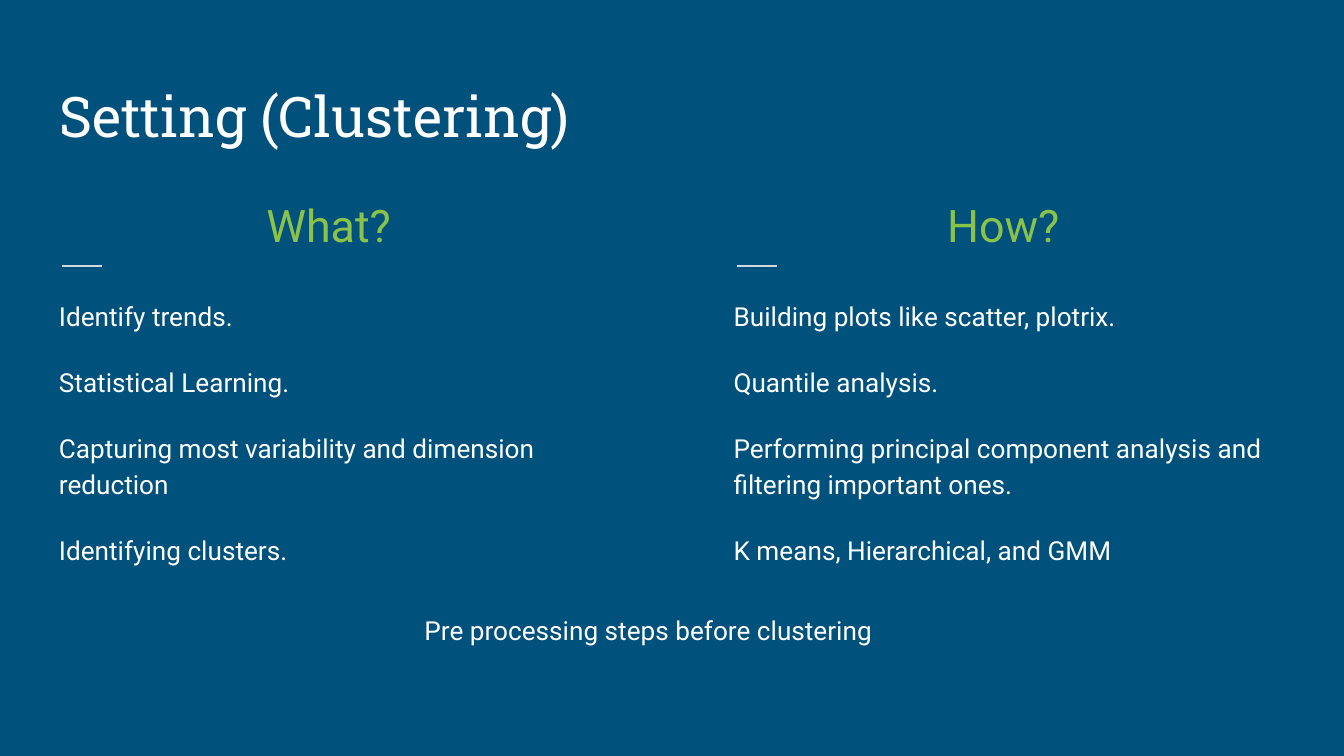
from dataclasses import dataclass

from lxml.etree import SubElement
from pptx import Presentation
from pptx.dml.color import RGBColor
from pptx.enum.shapes import MSO_CONNECTOR
from pptx.enum.text import MSO_ANCHOR, MSO_AUTO_SIZE, PP_ALIGN
from pptx.oxml.ns import qn
from pptx.util import Inches, Pt


@dataclass(frozen=True)
class Theme:
    back: str = "00517C"
    white: str = "FFFFFF"
    green: str = "8BC34A"
    rule: str = "CFD8DC"
    serif: str = "Roboto Slab"
    sans: str = "Roboto"
    title: int = 30
    head: int = 24
    body: int = 14
    gap: int = 16
    lead: float = 1.15
    inset: float = 0.1


@dataclass(frozen=True)
class Box:
    left: float
    top: float
    width: float
    height: float


@dataclass(frozen=True)
class Style:
    size: int
    color: str
    font: str
    align: PP_ALIGN = PP_ALIGN.LEFT
    lead: float = 1.0
    gap: int = 0


@dataclass(frozen=True)
class Column:
    left: float
    head: str
    items: tuple[str, ...]


THEME = Theme()
TITLE = Style(THEME.title, THEME.white, THEME.serif)
HEAD = Style(THEME.head, THEME.green, THEME.sans, PP_ALIGN.CENTER, THEME.lead)
BODY = Style(THEME.body, THEME.white, THEME.sans, lead=THEME.lead, gap=THEME.gap)
NOTE = Style(THEME.body, THEME.white, THEME.sans, PP_ALIGN.CENTER)

COLUMNS = (
    Column(0.34, "What?", (
        "Identify trends.",
        "Statistical Learning.",
        "Capturing most variability and dimension reduction",
        "Identifying clusters.",
    )),
    Column(5.36, "How?", (
        "Building plots like scatter, plotrix.",
        "Quantile analysis.",
        "Performing principal component analysis and filtering important ones.",
        "K means, Hierarchical, and GMM",
    )),
)


def place(shape, box: Box) -> None:
    shape.left, shape.top = Inches(box.left), Inches(box.top)
    shape.width, shape.height = Inches(box.width), Inches(box.height)


def write(shape, lines: tuple[str, ...], style: Style) -> None:
    frame = shape.text_frame
    frame.word_wrap = True
    frame.auto_size = MSO_AUTO_SIZE.NONE
    frame.margin_left = frame.margin_right = Inches(THEME.inset)
    frame.margin_top = frame.margin_bottom = Inches(THEME.inset)
    frame.text = "\n".join(lines)
    for index, para in enumerate(frame.paragraphs):
        para.alignment = style.align
        para.line_spacing = style.lead
        para.space_before = Pt(style.gap if index else 0)
        for run in para.runs:
            run.font.size = Pt(style.size)
            run.font.name = style.font
            run.font.color.rgb = RGBColor.from_string(style.color)


def add_text(slide, box: Box, lines: tuple[str, ...], style: Style):
    shape = slide.shapes.add_textbox(0, 0, 0, 0)
    place(shape, box)
    write(shape, lines, style)
    return shape


def add_rule(slide, left: float, top: float, width: float) -> None:
    line = slide.shapes.add_connector(
        MSO_CONNECTOR.STRAIGHT,
        Inches(left), Inches(top), Inches(left + width), Inches(top),
    )
    line.line.color.rgb = RGBColor.from_string(THEME.rule)
    line.line.width = Pt(0.75)
    SubElement(line.element.spPr, qn("a:effectLst"))


def add_column(slide, column: Column) -> None:
    add_text(slide, Box(column.left, 1.31, 4.21, 0.57), (column.head,), HEAD)
    add_rule(slide, column.left + 0.12, 1.98, 0.3)
    add_text(slide, Box(column.left, 2.1, 4.21, 2.33), column.items, BODY)


def main() -> None:
    deck = Presentation()
    deck.slide_width = Inches(10)
    deck.slide_height = deck.slide_width * 9 // 16
    slide = deck.slides.add_slide(deck.slide_layouts[5])
    slide.background.fill.solid()
    slide.background.fill.fore_color.rgb = RGBColor.from_string(THEME.back)

    title = slide.shapes.title
    place(title, Box(0.34, 0.41, 9.32, 0.8))
    write(title, ("Setting (Clustering)",), TITLE)
    title.text_frame.vertical_anchor = MSO_ANCHOR.BOTTOM

    for column in COLUMNS:
        add_column(slide, column)

    note = add_text(
        slide, Box(1.11, 4.47, 7.43, 0.44),
        ("Pre processing steps before clustering",), NOTE,
    )
    note.text_frame.auto_size = MSO_AUTO_SIZE.SHAPE_TO_FIT_TEXT
    deck.save("out.pptx")


if __name__ == "__main__":
    main()
